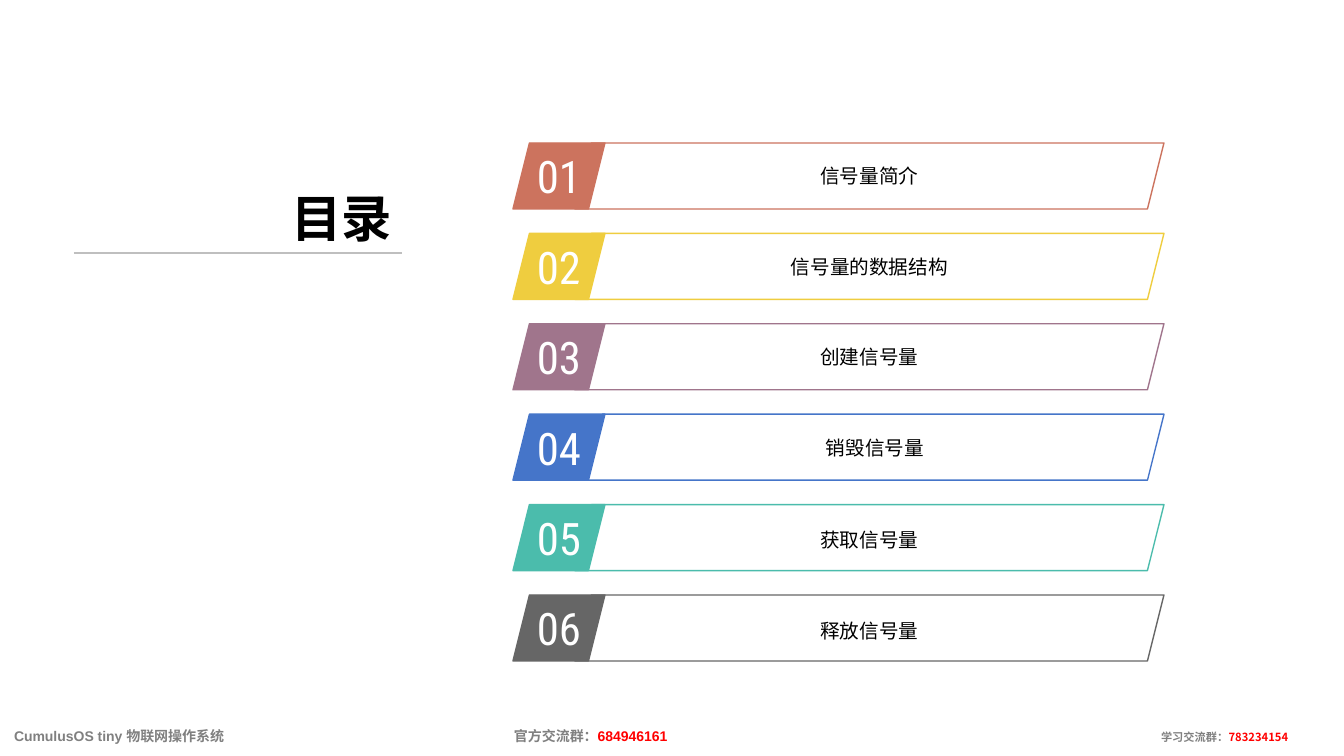
from lxml import etree
from pptx import Presentation
from pptx.dml.color import RGBColor
from pptx.enum.shapes import MSO_CONNECTOR, MSO_SHAPE
from pptx.enum.text import MSO_ANCHOR, MSO_AUTO_SIZE, PP_ALIGN
from pptx.oxml.ns import qn
from pptx.util import Pt

PX = 914400 / 100.8
PARALLELOGRAM = MSO_SHAPE.PARALLELOGRAM
STRAIGHT = MSO_CONNECTOR.STRAIGHT
MIDDLE, BOTTOM = MSO_ANCHOR.MIDDLE, MSO_ANCHOR.BOTTOM
CENTER, RIGHT = PP_ALIGN.CENTER, PP_ALIGN.RIGHT
NO_FIT = MSO_AUTO_SIZE.NONE

COLORS = {
    "coral": "CC735E", "yellow": "EFCD3F", "mauve": "A0758C",
    "blue": "4575C9", "teal": "4BBCAC", "dark": "666666",
    "black": "000000", "white": "FFFFFF", "rule": "BFBFBF",
    "gray": "808080", "red": "FF0000",
}
# label, color, left inset of the outline, line spacing
CHAPTERS = [
    ("信号量简介", "coral", 62, 1.0),
    ("信号量的数据结构", "yellow", 62, 1.0),
    ("创建信号量", "mauve", 62, 1.0),
    ("销毁信号量", "blue", 73, 1.0),
    ("获取信号量", "teal", 62, 1.2),
    ("释放信号量", "dark", 62, 1.2),
]
# text, size, color, font
FOOTER = [
    ("CumulusOS tiny 物联网操作系统\t官方交流群：", 10, "gray", "Arial"),
    ("684946161\t", 10, "red", "Arial"),
    ("学习交流群：", 8, "gray", "Arial"),
    ("783234154", 8, "red", "Noto Sans CJK KR"),
]


def px(n):
    return round(n * PX)


def rgb(name):
    return RGBColor.from_string(COLORS[name])


def set_all(obj, values):
    for name, value in values.items():
        setattr(obj, name, value)


def add_run(p, text, size, color, font="Arial", bold=False):
    r = p.add_run()
    r.text = text
    set_all(r.font, {"size": Pt(size), "name": font, "bold": bold})
    r.font.color.rgb = rgb(color)


def add_slant(s, x, y, w, h, color, filled):
    """Add a slanted box and return its centred paragraph."""
    sp = s.shapes.add_shape(PARALLELOGRAM, px(x), px(y), px(w), px(h))
    sp.shadow.inherit = False
    if filled:
        sp.fill.solid()
        sp.fill.fore_color.rgb = rgb(color)
    else:
        sp.fill.background()
    sp.line.color.rgb = rgb(color)
    sp.line.width = Pt(1)
    set_all(sp.text_frame, {"vertical_anchor": MIDDLE, "word_wrap": not filled})
    p = sp.text_frame.paragraphs[0]
    p.alignment = CENTER
    return p


def add_chapters(s, x, y, w, h, row_h=66, number_w=92):
    pitch = (h - row_h) / (len(CHAPTERS) - 1)
    for i, (label, color, inset, spacing) in enumerate(CHAPTERS):
        top = y + i * pitch
        p = add_slant(s, x, top, number_w, row_h, color, True)
        add_run(p, f"{i + 1:02}", 32, "white", "Roboto Condensed")
        p = add_slant(s, x + inset, top, w - inset, row_h, color, False)
        p.line_spacing = spacing
        add_run(p, label, 14, "black")


def add_heading(s, x, y, w, h, title_w=241):
    """Place the title at the right of the box, with a rule along its bottom."""
    line = s.shapes.add_connector(STRAIGHT, px(x), px(y + h), px(x + w), px(y + h))
    line.line.color.rgb = rgb("rule")
    line.line.width = Pt(1.5)
    etree.SubElement(line._element.spPr, qn("a:effectLst"))

    title = s.shapes.title
    set_all(title, {"left": px(x + w - title_w), "top": px(y),
                    "width": px(title_w), "height": px(h)})
    tf = title.text_frame
    set_all(tf, {"vertical_anchor": BOTTOM, "word_wrap": True, "auto_size": NO_FIT})
    p = tf.paragraphs[0]
    p.alignment = RIGHT
    add_run(p, "目录", 36, "black", bold=True)


def add_footer(s, x, y, w, h, margin=14, stops=(500, 1147)):
    tf = s.shapes.add_textbox(px(x), px(y), px(w), px(h)).text_frame
    set_all(tf, {"vertical_anchor": MIDDLE, "word_wrap": True,
                 "margin_left": px(margin)})
    p = tf.paragraphs[0]
    tabs = etree.SubElement(p._p.get_or_add_pPr(), qn("a:tabLst"))
    for stop in stops:
        etree.SubElement(tabs, qn("a:tab"), pos=str(px(stop)), algn="l")
    for text, size, color, font in FOOTER:
        add_run(p, text, size, color, font, bold=True)


def main():
    prs = Presentation()
    set_all(prs, {"slide_width": px(1344), "slide_height": px(756)})
    s = prs.slides.add_slide(prs.slide_layouts[5])
    add_chapters(s, 513, 143, 651, 518)
    add_heading(s, 74, 143, 328, 110)
    add_footer(s, 0, 716, 1344, 40)
    prs.save("out.pptx")


if __name__ == "__main__":
    main()
